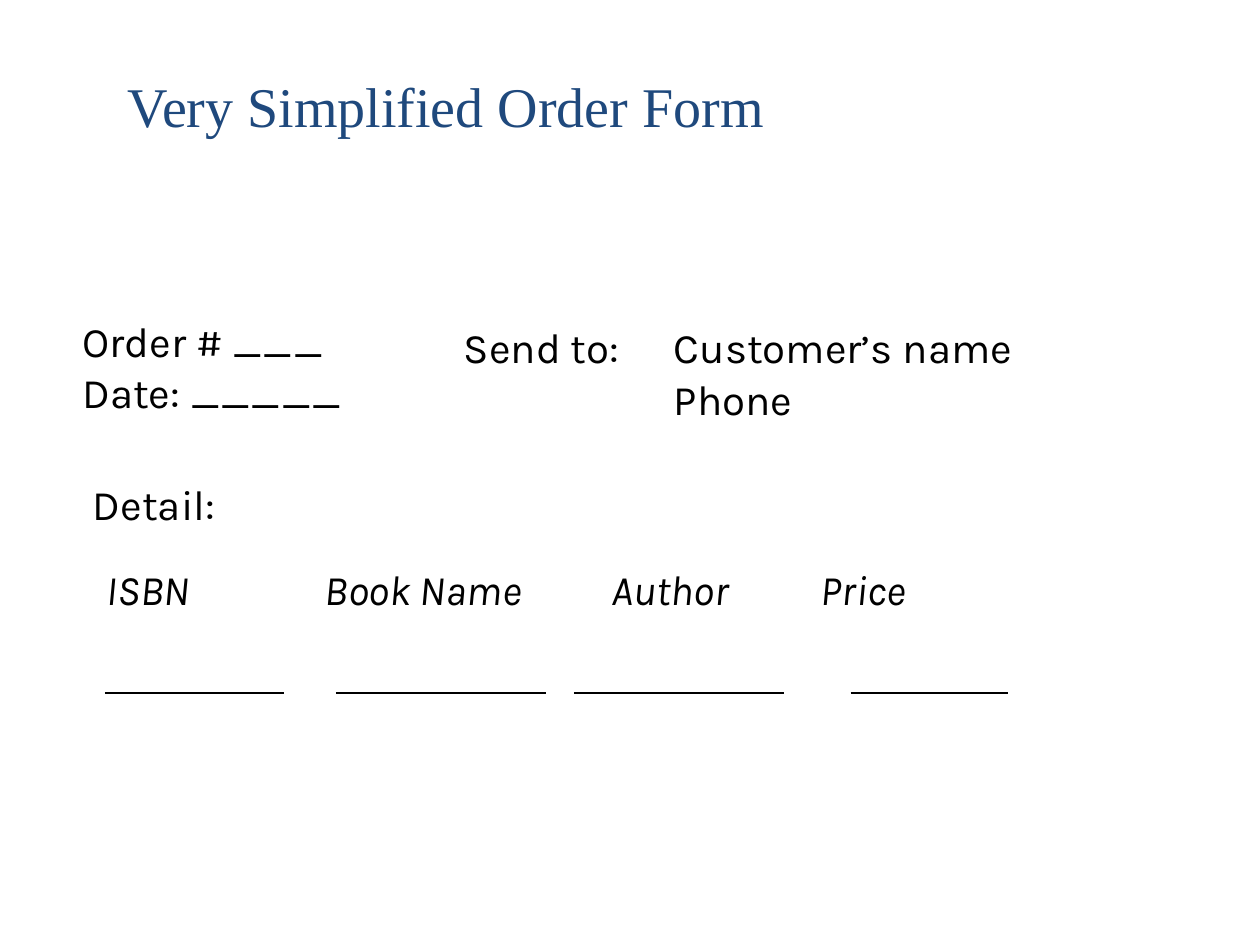
from pptx import Presentation
from pptx.dml.color import RGBColor
from pptx.enum.shapes import MSO_CONNECTOR
from pptx.enum.text import MSO_ANCHOR, MSO_AUTO_SIZE, PP_ALIGN
from pptx.oxml.ns import qn
from pptx.util import Pt
from lxml import etree

LINE = MSO_CONNECTOR.STRAIGHT
TOP, MID = MSO_ANCHOR.TOP, MSO_ANCHOR.MIDDLE
GROW, FIXED = MSO_AUTO_SIZE.SHAPE_TO_FIT_TEXT, MSO_AUTO_SIZE.NONE
LEFT, CENTER = PP_ALIGN.LEFT, PP_ALIGN.CENTER

THEME = {
    "ink": RGBColor(0, 0, 0),
    "title": {"name": "Times New Roman", "size": Pt(32)},
    "blue": RGBColor(0x1F, 0x49, 0x7D),
    "body": {"name": "Karla", "size": Pt(24), "italic": False},
    "head": {"name": "Karla", "size": Pt(24), "italic": True},
    "rule": Pt(0.75),
}

TITLE = ("Very Simplified Order Form", 66, 24, 618, 72)
FIELDS = [
    ("Order # ___", 40, 177, 174),
    ("Date: _____", 40, 206, 174),
    ("Send to:", 258, 180, 108),
    ("Customer’s name", 378, 180, 214),
    ("Phone", 378, 210, 186),
    ("Detail:", 46, 270, 150),
]
COLUMNS = [
    ("ISBN", 54, LEFT, 60, 162),
    ("Book Name", 178.5, LEFT, 192, 312),
    ("Author", 314, CENTER, 328, 448),
    ("Price", 462, LEFT, 486, 576),
]
ROW_H, HEAD_Y, HEAD_W, RULE_Y = 36, 318.5, 138, 396

deck = Presentation()
deck.slide_width, deck.slide_height = Pt(720), Pt(540)
slide = deck.slides.add_slide(deck.slide_layouts[6])


def apply(item, values):
    for key, value in values.items():
        setattr(item, key, value)


def add_text(text, x, y, w, h, font, color, align=LEFT, anchor=TOP, fit=GROW):
    box = slide.shapes.add_textbox(Pt(x), Pt(y), Pt(w), Pt(h))
    frame = box.text_frame
    apply(frame, {"word_wrap": True, "auto_size": fit, "vertical_anchor": anchor})
    para = frame.paragraphs[0]
    para.alignment = align
    run = para.add_run()
    run.text = text
    apply(run.font, font)
    run.font.color.rgb = color


def add_rule(start, end):
    rule = slide.shapes.add_connector(LINE, Pt(start), Pt(RULE_Y), Pt(end), Pt(RULE_Y))
    rule.line.width = THEME["rule"]
    rule.line.color.rgb = THEME["ink"]
    etree.SubElement(rule._element.spPr, qn("a:effectLst"))


add_text(*TITLE, THEME["title"], THEME["blue"], anchor=MID, fit=FIXED)
for text, x, y, w in FIELDS:
    add_text(text, x, y, w, ROW_H, THEME["body"], THEME["ink"])
for text, x, align, start, end in COLUMNS:
    add_text(text, x, HEAD_Y, HEAD_W, ROW_H, THEME["head"], THEME["ink"], align)
    add_rule(start, end)

deck.save("out.pptx")
